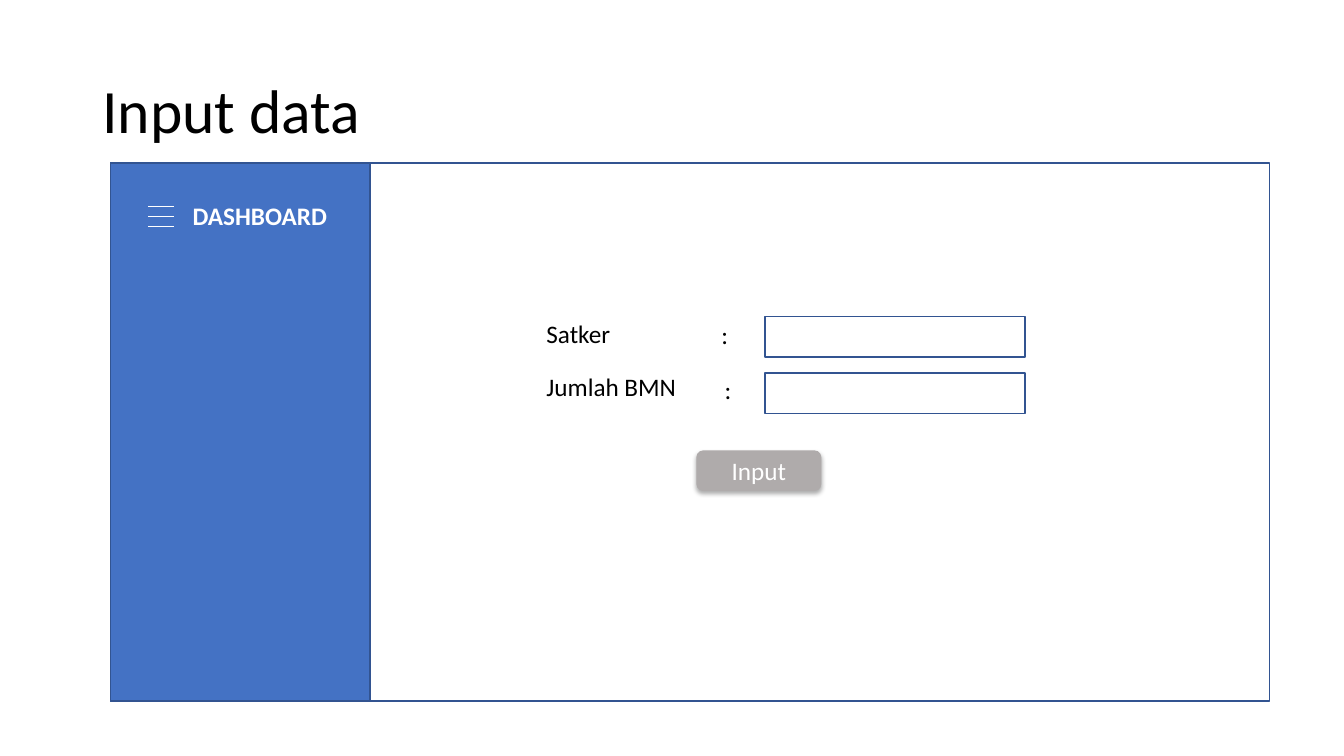
import pptx
import pptx.util
import pptx.dml.color
import pptx.enum.shapes
import pptx.enum.text
import pptx.oxml
import pptx.oxml.ns

Cm, Pt = pptx.util.Cm, pptx.util.Pt
Kind = pptx.enum.shapes.MSO_SHAPE
Align = pptx.enum.text.PP_ALIGN
Mid = pptx.enum.text.MSO_ANCHOR.MIDDLE

HUES = {"ink": "000000", "white": "FFFFFF", "blue": "4472C4",
        "edge": "325491", "grey": "AFABAB"}
TITLE = ("Input data", (2.33, 1.02, 29.21, 3.68))
MENU = ("DASHBOARD", (4.29, 4.65, 4.52, 1.57))
ROWS = [
    {"label": ("Satker", (11.3, 7.9, 6.55, 1.02)), "colon": (17.78, 7.92)},
    {"label": ("Jumlah BMN", (13.26, 9.22, 4.29, 1.02)), "colon": (17.86, 9.3)},
]
BUTTON = ("Input", (17.55, 11.35, 3.15, 1.02))
FRAME = (2.78, 4.11, 29.21, 13.56)
SIDE = FRAME[:2] + (6.55, FRAME[3])
FIELD = {"left": 19.28, "top": 7.98, "step": 1.42, "wide": 6.55, "high": 1.02}
BARS = {"left": 3.73, "right": 4.39, "top": 5.21, "step": 0.25, "count": 3}
BODY = {"size": Pt(18), "name": "Calibri", "bold": False}
HEAD = {**BODY, "size": Pt(44)}
BOLD = {**BODY, "bold": True}
NS = pptx.oxml.ns.nsdecls("a")
SHADE = (f'<a:effectLst {NS}><a:outerShdw blurRad="{Pt(3.5)}" dist="{Pt(2.2)}" '
         'dir="5400000" algn="ctr" rotWithShape="0"><a:srgbClr val="000000">'
         '<a:alpha val="32000"/></a:srgbClr></a:outerShdw></a:effectLst>')

deck = pptx.Presentation()
deck.slide_width, deck.slide_height = Cm(33.87), Cm(19.05)
slide = deck.slides.add_slide(deck.slide_layouts[6])


def hue(name):
    return pptx.dml.color.RGBColor.from_string(HUES[name])


def write(shape, text, style=BODY, tint="ink", align=Align.CENTER):
    frame = shape.text_frame
    frame.word_wrap, frame.vertical_anchor = True, Mid
    para = frame.paragraphs[0]
    para.alignment = align
    run = para.add_run()
    run.text = text
    for key, value in style.items():
        setattr(run.font, key, value)
    run.font.color.rgb = hue(tint)
    return para


def label(text, spot, **look):
    return write(slide.shapes.add_textbox(*map(Cm, spot)), text, **look)


def box(spot, fill=None, edge=None, kind=Kind.RECTANGLE):
    shape = slide.shapes.add_shape(kind, *map(Cm, spot))
    shape.shadow.inherit = False
    if fill:
        shape.fill.solid()
        shape.fill.fore_color.rgb = hue(fill)
    else:
        shape.fill.background()
    if edge:
        shape.line.color.rgb = hue(edge)
        shape.line.width = Pt(1)
    else:
        shape.line.fill.background()
    return shape


label(*TITLE, style=HEAD, align=Align.LEFT).line_spacing = 0.9
box(FRAME, edge="edge")
box(SIDE, "blue", "edge")
label(*MENU, style=BOLD, tint="white")

icon = slide.shapes.add_group_shape()
for i in range(BARS["count"]):
    y = Cm(BARS["top"] + i * BARS["step"])
    bar = icon.shapes.add_connector(pptx.enum.shapes.MSO_CONNECTOR.STRAIGHT,
                                    Cm(BARS["left"]), y, Cm(BARS["right"]), y)
    bar.line.color.rgb = hue("white")
    bar.line.width = Pt(0.5)
    bar._element.spPr.append(pptx.oxml.parse_xml(f"<a:effectLst {NS}/>"))

for i, row in enumerate(ROWS):
    box((FIELD["left"], FIELD["top"] + i * FIELD["step"],
         FIELD["wide"], FIELD["high"]), edge="edge")
    label(*row["label"])
    label(":", row["colon"] + (0.97, 1.02))

text, spot = BUTTON
button = box(spot, "grey", kind=Kind.ROUNDED_RECTANGLE)
write(button, text, tint="white")
props = button._element.spPr
props.replace(props.find(pptx.oxml.ns.qn("a:effectLst")), pptx.oxml.parse_xml(SHADE))

deck.save("out.pptx")
